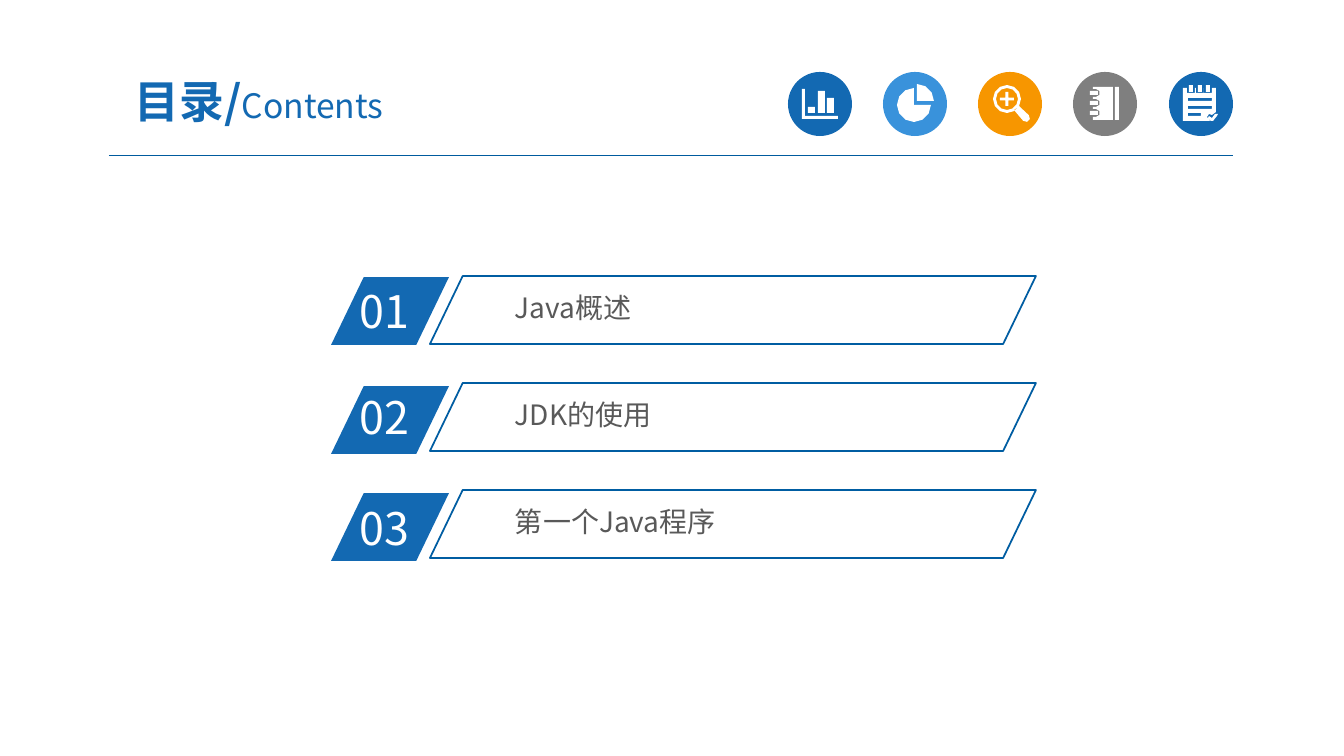
"""Build the contents slide of a Java course."""
from math import cos, radians, sin

from lxml import etree
from pptx import Presentation
from pptx import util as u
from pptx.dml.color import RGBColor
from pptx.enum import shapes, text
from pptx.oxml.ns import qn

SCALE = 914400 / 100.8
FONT = "Noto Sans CJK SC"
COLORS = {"blue": "1369B2", "sky": "3992DB", "orange": "F79600", "gray": "7F7F7F",
          "rule": "005B9E", "frame": "005DA2", "body": "595959", "white": "FFFFFF"}
CHAPTERS = [("Java概述", 277, 279), ("JDK的使用", 386, 385), ("第一个Java程序", 493, 496)]
FORMATS = {
    "heading": {"size": u.Pt(32), "bold": True, "color": "blue"},
    "subheading": {"size": u.Pt(24), "bold": False, "color": "blue"},
    "number": {"size": u.Pt(32), "color": "white"},
    "label": {"size": u.Pt(20), "color": "body"},
}


def px(length):
    return u.Emu(round(length * SCALE))


def rgb(name):
    return RGBColor.from_string(COLORS[name])


def paint(shape, fill=None, line=None, width=1.25):
    shape.shadow.inherit = False
    if fill:
        shape.fill.solid()
        shape.fill.fore_color.rgb = rgb(fill)
    else:
        shape.fill.background()
    if line:
        shape.line.color.rgb = rgb(line)
        shape.line.width = u.Pt(width)
    else:
        shape.line.fill.background()


def add_run(paragraph, wording, style):
    run = paragraph.add_run()
    run.text = wording
    run.font.name = FONT
    for key, value in FORMATS[style].items():
        if key == "color":
            run.font.color.rgb = rgb(value)
        else:
            setattr(run.font, key, value)
    etree.SubElement(run.font._element, qn("a:ea"), typeface=FONT)


def set_frame(frame, **settings):
    for key, value in settings.items():
        setattr(frame, key, value)


def add_text(slide, box, wording, style, inset_x, inset_y):
    frame = slide.shapes.add_textbox(*map(px, box)).text_frame
    set_frame(frame, word_wrap=True, auto_size=text.MSO_AUTO_SIZE.SHAPE_TO_FIT_TEXT,
              margin_left=px(inset_x), margin_right=px(inset_x),
              margin_top=px(inset_y), margin_bottom=px(inset_y))
    add_run(frame.paragraphs[0], wording, style)


def add_slant(slide, box, **look):
    slant = slide.shapes.add_shape(shapes.MSO_SHAPE.PARALLELOGRAM, *map(px, box))
    slant.adjustments[0] = 0.482
    paint(slant, **look)


def arc(x, y, radius, start=0, end=360, step=30):
    count = abs(end - start) // step
    angles = [radians(start + (end - start) * i / count) for i in range(count + 1)]
    return [(x + radius * cos(a), y + radius * sin(a)) for a in angles]


def bar(x, y, width, height):
    return [(x, y), (x + width, y), (x + width, y + height), (x, y + height)]


def bar_chart():
    axes = [(14, 17), (17, 17), (17, 44), (50, 44), (50, 47), (14, 47)]
    return [axes, *[bar(x, top, 7, 41 - top) for x, top in ((20, 35), (30, 19), (39, 26))]]


def pie_chart():
    return [[(34, 29)] + arc(34, 29, 17, 270, 360),
            [(31, 33)] + arc(31, 33, 17, 0, 270)]


def magnifier():
    x, y, reach, half = 29, 27, 7, 1.5
    plus = [(-half, -reach), (half, -reach), (half, -half), (reach, -half),
            (reach, half), (half, half), (half, reach), (-half, reach),
            (-half, half), (-reach, half), (-reach, -half), (-half, -half)]
    handle = [(36, 38), (41, 34)] + arc(48, 46, 4, -45, 135, 60)
    return [arc(x, y, 14), arc(x, y, 11), [(x + dx, y + dy) for dx, dy in plus], handle]


def notebook():
    holes = (41, 31, 21)
    cover = [(40, 15), (40, 48), (20, 48)]
    for y in holes:
        cover += [(20, y + 4)] + arc(23, y, 4, 90, -90, 60) + [(20, y - 4)]
    cover.append((20, 15))
    return [cover, bar(42, 15, 4, 33), *[bar(17, y - 2, 8, 4) for y in holes]]


def notepad():
    rings = (22, 31, 39)
    page = [(14, 49), (14, 16)]
    for x in rings:
        page += bar(x - 4, 16, 8, 5)[::3] + bar(x - 4, 16, 8, 5)[2:0:-1]
    page += [(47, 16), (47, 40), (43, 43), (40, 42), (38, 45), (41, 49)]
    lines = [bar(19, y, width, 3) for y, width in ((26, 24), (34, 24), (41, 13))]
    check = [(48, 44), (44, 49), (42, 49), (39, 46), (40, 44), (43, 46), (46, 42), (49, 42)]
    return [page, check, *lines, *[bar(x - 2, 13, 4, 7) for x in rings]]


def add_icon(slide, left, top, color, outlines):
    disc = slide.shapes.add_shape(shapes.MSO_SHAPE.OVAL, px(left), px(top), px(64), px(64))
    paint(disc, color)
    contours = [[(px(left + x), px(top + y)) for x, y in outline] for outline in outlines]
    builder = slide.shapes.build_freeform(*contours[0][0], scale=1.0)
    builder.add_line_segments(contours[0][1:], close=True)
    for contour in contours[1:]:
        builder.move_to(*contour[0])
        builder.add_line_segments(contour[1:], close=True)
    paint(builder.convert_to_shape(), "white")


def add_rule(slide, left, right, y):
    rule = slide.shapes.add_connector(shapes.MSO_CONNECTOR.STRAIGHT,
                                      px(left), px(y), px(right), px(y))
    rule.line.color.rgb = rgb("rule")
    rule.line.width = u.Pt(0.75)
    etree.SubElement(rule._element.spPr, qn("a:effectLst"))


def add_title(slide):
    title = slide.shapes.title
    title.left, title.top, title.width, title.height = map(px, (93, 64, 332, 73))
    set_frame(title.text_frame, word_wrap=True, auto_size=text.MSO_AUTO_SIZE.NONE,
              vertical_anchor=text.MSO_ANCHOR.MIDDLE, margin_left=px(13),
              margin_right=px(13), margin_top=px(7), margin_bottom=px(7))
    heading = title.text_frame.paragraphs[0]
    heading.alignment = text.PP_ALIGN.CENTER
    heading.space_before = u.Pt(6)
    add_run(heading, "目录/", "heading")
    add_run(heading, "Contents", "subheading")


def add_chapter(slide, index, label, badge_top, number_top):
    frame_top = 276 + 107 * index
    add_slant(slide, (331, badge_top, 118, 68), fill="blue")
    add_text(slide, (350, number_top, 113, 64), f"{index + 1:02}", "number", 10, 5)
    add_text(slide, (508, frame_top + 10, 505, 41), label, "label", 7, 4)
    add_slant(slide, (430, frame_top, 606, 68), line="frame")


def main():
    deck = Presentation()
    deck.slide_width, deck.slide_height = px(1344), px(756)
    slide = deck.slides.add_slide(deck.slide_layouts[5])
    add_rule(slide, 109, 1233, 156)
    icons = [("blue", bar_chart), ("sky", pie_chart), ("orange", magnifier),
             ("gray", notebook), ("blue", notepad)]
    for i, (color, draw) in enumerate(icons):
        add_icon(slide, 788 + 381 * i // 4, 72, color, draw())
    add_title(slide)
    for i, chapter in enumerate(CHAPTERS):
        add_chapter(slide, i, *chapter)
    deck.save("out.pptx")


if __name__ == "__main__":
    main()
